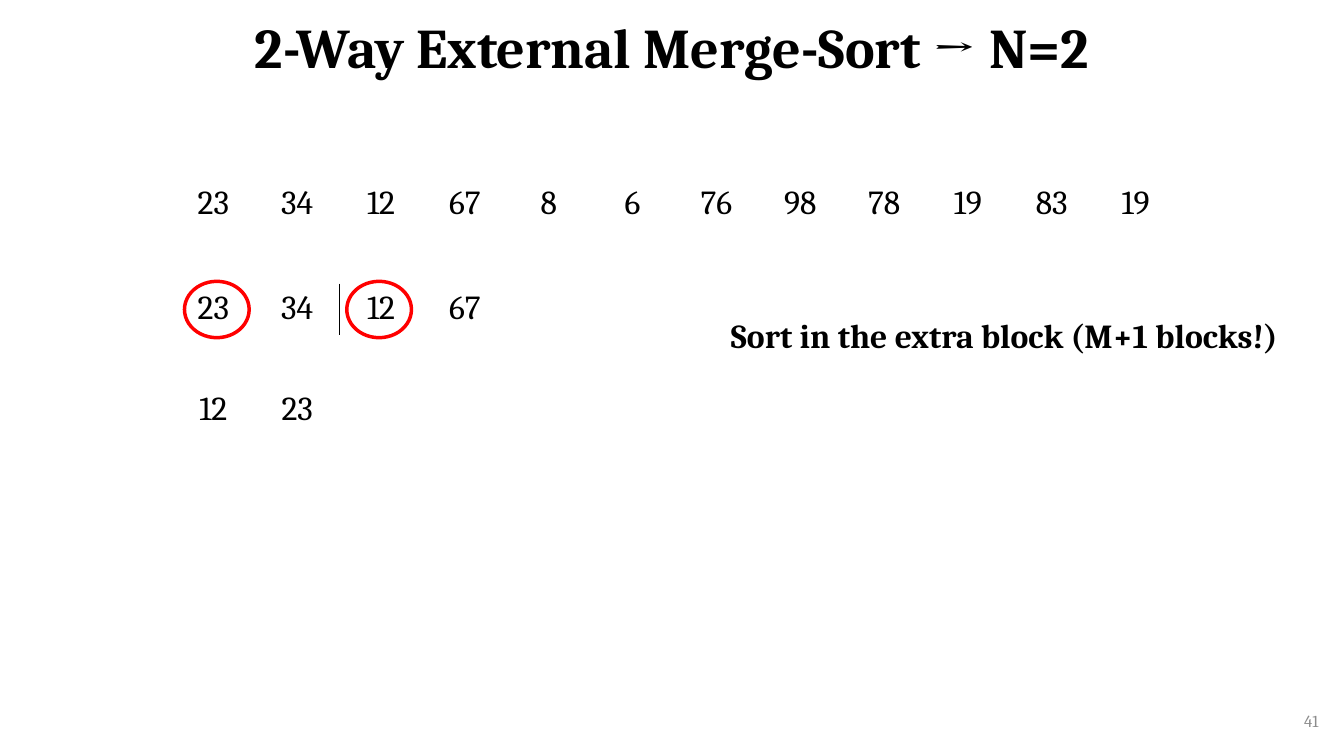
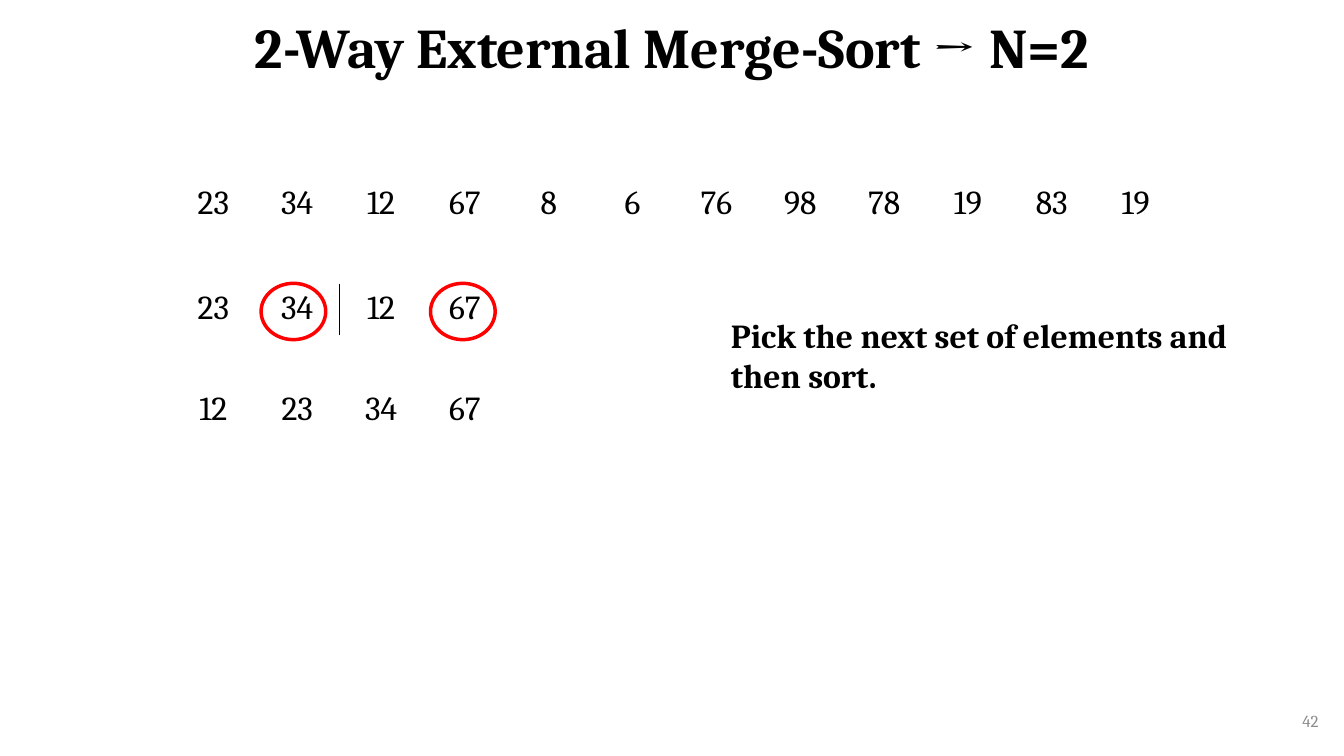
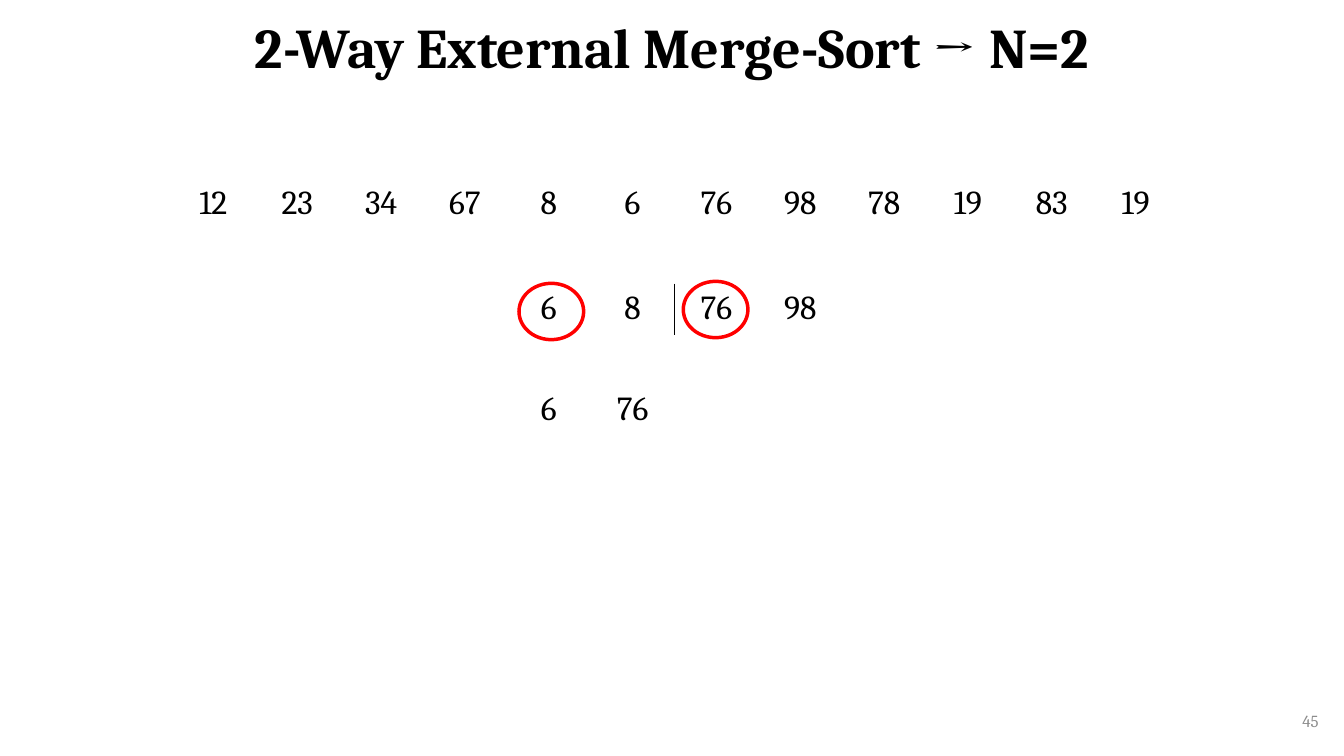
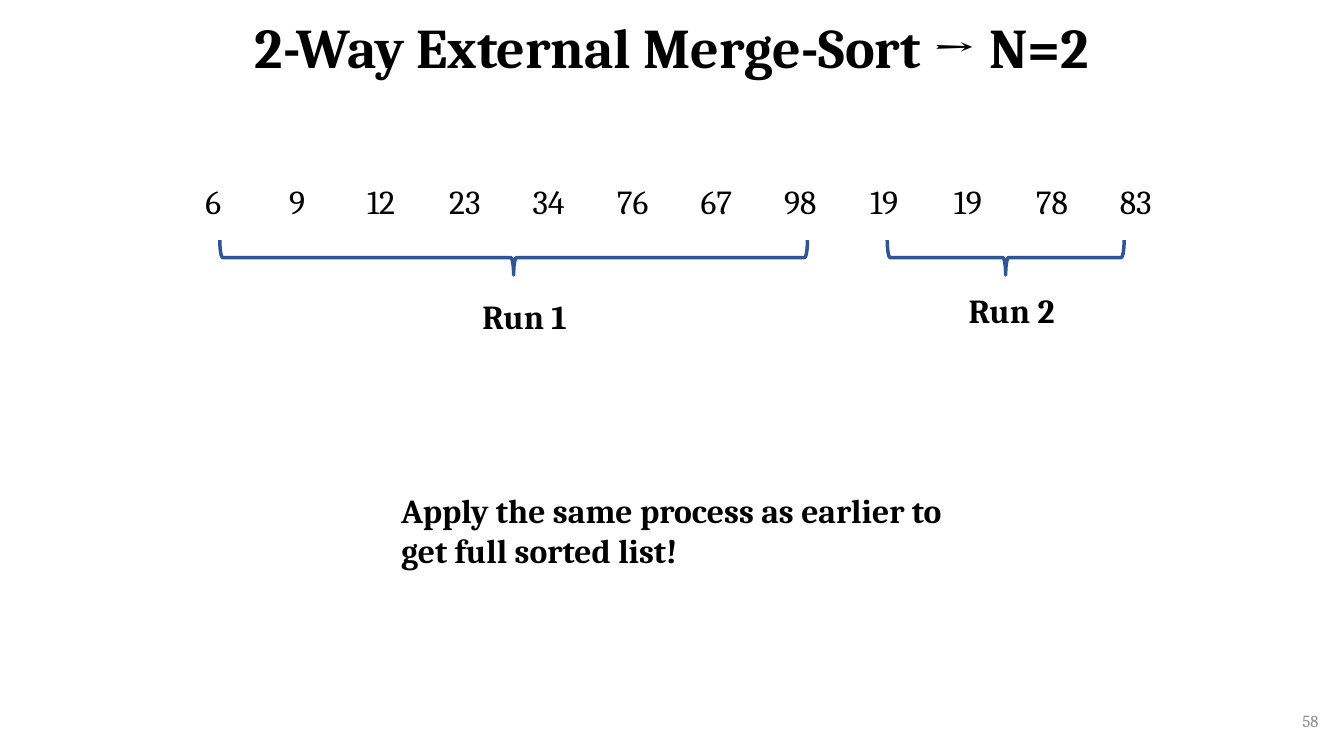
from dataclasses import dataclass

import pptx
import pptx.dml.color
import pptx.enum.shapes
import pptx.enum.text
import pptx.oxml
import pptx.oxml.ns
import pptx.util

Cm = pptx.util.Cm
Pt = pptx.util.Pt
RGB = pptx.dml.color.RGBColor.from_string
ALIGN = pptx.enum.text.PP_ALIGN
ANCHOR = pptx.enum.text.MSO_ANCHOR
SHAPE = pptx.enum.shapes.MSO_SHAPE


@dataclass(frozen=True)
class Theme:
    font: str = "Cambria"
    ink: str = "000000"
    muted: str = "8C8C8C"
    mark: str = "FF0000"
    brace: str = "2F5597"
    title_size: int = 40
    body_size: int = 24
    number_size: int = 12
    outline: float = 2.5
    divider: float = 1


THEME = Theme()
TITLE = "2-Way External Merge-Sort → N=2"

# Number grid, in cm
COLUMNS = 12
GRID_LEFT, GRID_W, GRID_H = 4.32, 25.36, 1.27
CELL_W, CELL_H = GRID_W / COLUMNS, 1.17
LIST_TOP, BLOCKS_TOP, OUTPUT_TOP = 4.52, 7.16, 9.7
RING_W, RING_H = 1.63, 1.42
BRACE_TOP, BRACE_H = 6.05, 0.88


def write(tf, text, size=THEME.body_size, color=THEME.ink, bold=False, align=ALIGN.LEFT):
    tf.text = text
    p = tf.paragraphs[0]
    p.alignment = align
    for r in p.runs:
        r.font.name = THEME.font
        r.font.size = Pt(size)
        r.font.bold = bold
        r.font.color.rgb = RGB(color)
    return p


def add_text(s, text, left, top, width, height, **style):
    tf = s.shapes.add_textbox(Cm(left), Cm(top), Cm(width), Cm(height)).text_frame
    tf.word_wrap = True
    write(tf, text, **style)
    return tf


def add_note(s, text, left, top, width, height=1.27):
    add_text(s, text, left, top, width, height, bold=True)


def add_slide(prs, number):
    """Add a slide with the shared title and its page number."""
    s = prs.slides.add_slide(prs.slide_layouts[5])
    title = s.shapes.title
    title.left, title.top, title.width, title.height = Cm(2.33), Cm(0.02), Cm(29.21), Cm(2.52)
    tf = title.text_frame
    tf.auto_size = pptx.enum.text.MSO_AUTO_SIZE.NONE
    tf.vertical_anchor = ANCHOR.MIDDLE
    p = write(tf, TITLE, size=THEME.title_size, bold=True, align=ALIGN.CENTER)
    p.line_spacing = 0.9
    tf = add_text(s, str(number), 25.86, 17.65, 7.62, 1.02,
                  size=THEME.number_size, color=THEME.muted, align=ALIGN.RIGHT)
    tf.vertical_anchor = ANCHOR.MIDDLE
    return s


def set_border(cell, side):
    """Draw one border of a cell; side is L, R, T or B."""
    line = pptx.oxml.parse_xml(
        f'<a:ln{side} {pptx.oxml.ns.nsdecls("a")} w="{Pt(THEME.divider)}">'
        f'<a:solidFill><a:srgbClr val="{THEME.ink}"/></a:solidFill></a:ln{side}>')
    cell._tc.get_or_add_tcPr().insert(0, line)


def add_numbers(s, top, numbers=(), first=0, divider=None):
    """Lay numbers on the grid from column first; divider is the column right of the bar."""
    frame = s.shapes.add_table(1, COLUMNS, Cm(GRID_LEFT), Cm(top), Cm(GRID_W), Cm(GRID_H))
    table = frame.table
    table.first_row = table.horz_banding = False
    table.rows[0].height = Cm(CELL_H)
    frame.height = Cm(GRID_H)
    for column in table.columns:
        column.width = Cm(CELL_W)
    for cell in table.iter_cells():
        cell.fill.background()
    for i, number in enumerate(numbers, first):
        write(table.cell(0, i).text_frame, str(number), align=ALIGN.CENTER)
    if divider is not None:
        set_border(table.cell(0, divider - 1), "R")
        set_border(table.cell(0, divider), "L")


def add_outline(s, kind, left, top, width, height, color):
    sp = s.shapes.add_shape(kind, Cm(left), Cm(top), Cm(width), Cm(height))
    sp.shadow.inherit = False
    sp.fill.background()
    sp.line.color.rgb = RGB(color)
    sp.line.width = Pt(THEME.outline)
    return sp


def add_brace(s, left, span):
    """Add a brace lying under the list, pointing down."""
    sp = add_outline(s, SHAPE.LEFT_BRACE, left + (span - BRACE_H) / 2,
                     BRACE_TOP + (BRACE_H - span) / 2, BRACE_H, span, THEME.brace)
    sp.rotation = 270


def add_merge_slide(prs, number, values, blocks, output, first, rings):
    """Show two blocks of a list, the compared elements and the merged output."""
    s = add_slide(prs, number)
    add_numbers(s, LIST_TOP, values)
    add_numbers(s, BLOCKS_TOP, blocks, first, divider=first + 2)
    add_numbers(s, OUTPUT_TOP, output, first)
    for left, top in rings:
        add_outline(s, SHAPE.OVAL, left, top, RING_W, RING_H, THEME.mark)
    return s


def add_runs_slide(prs, number):
    s = add_slide(prs, number)
    add_numbers(s, LIST_TOP, [6, 9, 12, 23, 34, 76, 67, 98, 19, 19, 78, 83])
    add_numbers(s, BLOCKS_TOP)
    add_numbers(s, OUTPUT_TOP)
    add_brace(s, 5.54, 14.81)
    add_brace(s, 22.36, 5.97)
    add_note(s, "Run 1", 11.91, 7.34, 2.79)
    add_note(s, "Run 2", 24.16, 7.18, 2.79)
    add_note(s, "Apply the same process as earlier to get full sorted list!",
             9.86, 12.22, 14.76, 2.31)


def main():
    prs = pptx.Presentation()
    prs.slide_width, prs.slide_height = Cm(33.87), Cm(19.05)

    tail = [8, 6, 76, 98, 78, 19, 83, 19]
    blocks = [23, 34, 12, 67]
    merged = sorted(blocks)

    s = add_merge_slide(prs, 41, blocks + tail, blocks, merged[:2], first=0,
                        rings=[(4.65, 7.09), (8.74, 7.09)])
    add_note(s, "Sort in the extra block (M+1 blocks!)", 18.17, 7.8, 14.6)
    s = add_merge_slide(prs, 42, blocks + tail, blocks, merged, first=0,
                        rings=[(6.58, 7.14), (10.85, 7.14)])
    add_note(s, "Pick the next set of elements and then sort.", 18.17, 7.8, 14.15, 2.31)
    add_merge_slide(prs, 45, merged + tail, [6, 8, 76, 98], [6, 76], first=4,
                    rings=[(13.08, 7.14), (17.22, 7.09)])
    add_runs_slide(prs, 58)

    prs.save("out.pptx")


if __name__ == "__main__":
    main()
